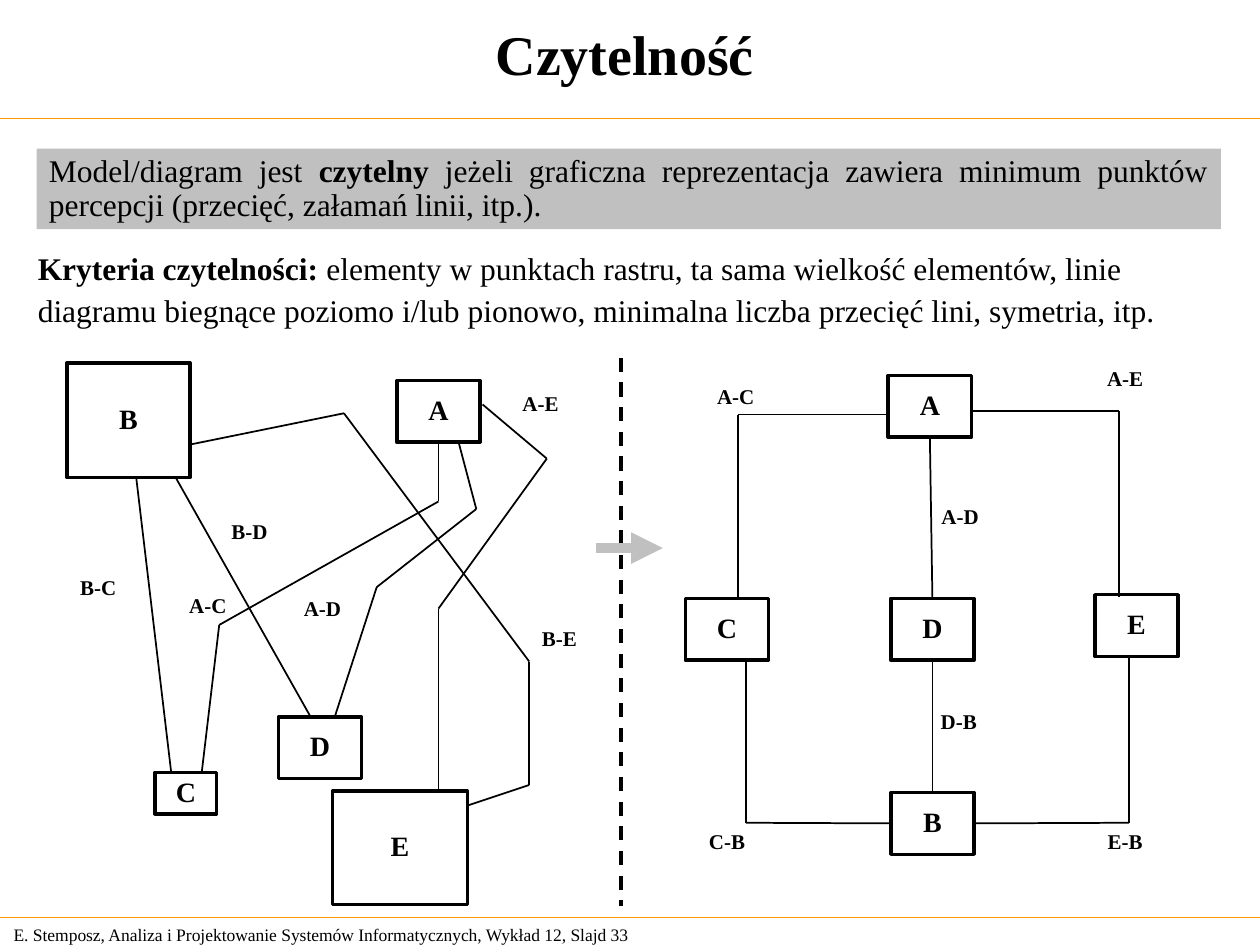
from dataclasses import dataclass
from itertools import pairwise
from typing import Optional

from lxml.etree import SubElement
from pptx import Presentation
from pptx.dml.color import RGBColor
from pptx.enum.dml import MSO_LINE
from pptx.enum.shapes import MSO_CONNECTOR, MSO_SHAPE
from pptx.enum.text import MSO_ANCHOR, MSO_AUTO_SIZE, PP_ALIGN
from pptx.oxml.ns import qn
from pptx.util import Inches, Pt

COLORS = {"ink": "000000", "rule": "FF9900", "grey": "C0C0C0", "paper": "FFFFFF"}
FONT = "Times New Roman"
TOP, LEFT, BOTTOM, RIGHT = range(4)


@dataclass
class Node:
    name: str
    left: float
    top: float
    width: float = 0.66
    height: float = 0.49


@dataclass
class Label:
    text: str
    left: float
    top: float


@dataclass
class Route:
    """A bent line; start and end name the node and side it is joined to."""
    points: list[tuple[float, float]]
    start: Optional[tuple[str, int]] = None
    end: Optional[tuple[str, int]] = None


UNREADABLE_NODES = [
    Node("B", 0.53, 2.88, 0.98, 0.91),
    Node("C", 1.23, 6.13, 0.49, 0.33),
    Node("E", 2.64, 6.28, 1.07, 0.9),
    Node("D", 2.21, 5.69),
    Node("A", 3.15, 3.02),
]
UNREADABLE_ROUTES = [
    Route([(1.08, 3.78), (1.36, 6.14)]),
    Route([(3.48, 3.51), (3.48, 3.98), (1.74, 4.96), (1.6, 6.14)], start=("A", BOTTOM)),
    Route([(1.4, 3.8), (2.46, 5.68)]),
    Route([(1.5, 3.53), (2.73, 3.28), (4.2, 5.25), (4.2, 6.23), (3.72, 6.39)]),
    Route([(3.83, 3.21), (4.34, 3.64), (3.48, 4.83), (3.48, 6.28)]),
    Route([(3.64, 3.51), (3.78, 4.04), (2.99, 4.66), (2.66, 5.68)]),
]
UNREADABLE_LABELS = [
    Label("B-D", 1.6, 3.97), Label("B-C", 0.4, 4.42), Label("B-E", 4.06, 4.82),
    Label("A-C", 1.27, 4.56), Label("A-E", 3.91, 2.96), Label("A-D", 2.18, 4.58),
]

READABLE_NODES = [
    Node("B", 7.07, 6.29), Node("C", 5.44, 4.75), Node("E", 8.69, 4.72),
    Node("D", 7.07, 4.75), Node("A", 7.05, 2.98),
]
READABLE_ROUTES = [
    Route([(7.38, 3.47), (7.4, 4.75)], start=("A", BOTTOM), end=("D", TOP)),
    Route([(7.4, 5.24), (7.4, 6.29)], start=("D", BOTTOM), end=("B", TOP)),
    Route([(7.05, 3.29), (5.86, 3.29), (5.86, 4.75)]),
    Route([(5.92, 5.24), (5.92, 6.53), (7.07, 6.53)], end=("B", LEFT)),
    Route([(7.71, 3.26), (8.88, 3.26), (8.88, 4.74)]),
    Route([(8.96, 5.22), (8.96, 6.53), (7.73, 6.53)], end=("B", RIGHT)),
]
READABLE_LABELS = [
    Label("D-B", 7.23, 5.48), Label("C-B", 5.39, 6.43), Label("E-B", 8.55, 6.43),
    Label("A-C", 5.46, 2.9), Label("A-E", 8.55, 2.76), Label("A-D", 7.24, 3.85),
]


def color(name: str) -> RGBColor:
    return RGBColor.from_string(COLORS[name])


def place(shape, left: float, top: float, width: float, height: float) -> None:
    shape.left, shape.top = Inches(left), Inches(top)
    shape.width, shape.height = Inches(width), Inches(height)


def add_span(para, text: str, size: float, bold: bool = False) -> None:
    span = para.add_run()
    span.text = text
    span.font.name, span.font.size, span.font.bold = FONT, Pt(size), bold
    span.font.color.rgb = color("ink")


def add_centred_text(shape, text: str, size: float) -> None:
    frame = shape.text_frame
    frame.word_wrap = False
    frame.vertical_anchor = MSO_ANCHOR.MIDDLE
    para = frame.paragraphs[0]
    para.alignment, para.line_spacing = PP_ALIGN.CENTER, 0.9
    add_span(para, text, size, bold=True)


def add_rectangle(page, left: float, top: float, width: float, height: float, fill: str):
    box = page.shapes.add_shape(
        MSO_SHAPE.RECTANGLE, Inches(left), Inches(top), Inches(width), Inches(height))
    box.shadow.inherit = False
    box.fill.solid()
    box.fill.fore_color.rgb = color(fill)
    return box


def add_line(page, start: tuple[float, float], end: tuple[float, float],
             stroke: str = "ink", width: float = 1):
    line = page.shapes.add_connector(
        MSO_CONNECTOR.STRAIGHT, *(Inches(value) for value in (*start, *end)))
    line.line.color.rgb = color(stroke)
    line.line.width = Pt(width)
    SubElement(line._element.spPr, qn("a:effectLst"))
    return line


def add_node(page, node: Node):
    box = add_rectangle(page, node.left, node.top, node.width, node.height, "paper")
    box.line.color.rgb = color("ink")
    box.line.width = Pt(2)
    add_centred_text(box, node.name, 16)
    return box


def add_diagram(page, nodes: list[Node], routes: list[Route], labels: list[Label]) -> None:
    boxes = {node.name: add_node(page, node) for node in nodes}
    for route in routes:
        lines = [add_line(page, start, end) for start, end in pairwise(route.points)]
        if route.start:
            name, side = route.start
            lines[0].begin_connect(boxes[name], side)
        if route.end:
            name, side = route.end
            lines[-1].end_connect(boxes[name], side)
    for label in labels:
        box = page.shapes.add_textbox(
            Inches(label.left), Inches(label.top), Inches(0.76), Inches(0.51))
        add_centred_text(box, label.text, 12)


def fill_title(title) -> None:
    place(title, 0, 0, 9.92, 0.85)
    title.text_frame.vertical_anchor = MSO_ANCHOR.MIDDLE
    para = title.text_frame.paragraphs[0]
    para.alignment = PP_ALIGN.CENTER
    add_span(para, "Czytelność", 32, bold=True)


def fill_criteria(body) -> None:
    place(body, 0.2, 1.96, 9.59, 0.81)
    frame = body.text_frame
    frame.auto_size = MSO_AUTO_SIZE.NONE
    first, second = frame.paragraphs[0], frame.add_paragraph()
    for para, space in ((first, 0), (second, 4.5)):
        properties = para._p.get_or_add_pPr()
        properties.set("marL", str(Inches(0.26)))
        properties.set("indent", str(-Inches(0.26)))
        SubElement(properties, qn("a:buNone"))
        para.alignment = PP_ALIGN.LEFT
        para.line_spacing, para.space_before = 0.9, Pt(space)
    add_span(first, "Kryteria czytelności:", 18, bold=True)
    add_span(first, " elementy w punktach rastru, ta sama wielkość elementów, linie", 18)
    add_span(second, "diagramu biegnące poziomo i/lub pionowo, minimalna liczba przecięć "
             "lini, symetria, itp.", 18)


def add_definition(page) -> None:
    box = add_rectangle(page, 0.29, 1.18, 9.4, 0.64, "grey")
    box.line.fill.background()
    box.text_frame.word_wrap = True
    box.text_frame.vertical_anchor = MSO_ANCHOR.TOP
    para = box.text_frame.paragraphs[0]
    para.alignment, para.line_spacing = PP_ALIGN.JUSTIFY, 0.9
    add_span(para, "Model/diagram jest ", 18)
    add_span(para, "czytelny", 18, bold=True)
    add_span(para, " jeżeli graficzna reprezentacja zawiera minimum punktów percepcji "
             "(przecięć, załamań linii, itp.).", 18)


def add_footer(page) -> None:
    box = page.shapes.add_textbox(Inches(0.01), Inches(7.28), Inches(5.24), Inches(0.27))
    box.text_frame.word_wrap = False
    box.text_frame.vertical_anchor = MSO_ANCHOR.MIDDLE
    add_span(box.text_frame.paragraphs[0], "E. Stemposz, Analiza i Projektowanie Systemów "
             "Informatycznych, Wykład 12, Slajd 33", 10)


def main() -> None:
    deck = Presentation()
    deck.slide_width, deck.slide_height = Inches(10), Inches(7.5)
    page = deck.slides.add_slide(deck.slide_layouts[1])
    add_footer(page)
    for height in (0.94, 7.28):
        add_line(page, (0, height), (10, height), "rule", 0.75)
    fill_title(page.shapes.title)
    fill_criteria(page.placeholders[1])
    add_definition(page)
    add_diagram(page, UNREADABLE_NODES, UNREADABLE_ROUTES, UNREADABLE_LABELS)
    add_diagram(page, READABLE_NODES, READABLE_ROUTES, READABLE_LABELS)
    divider = add_line(page, (4.93, 2.84), (4.93, 7.19), width=2)
    divider.line.dash_style = MSO_LINE.DASH
    arrow = add_line(page, (4.73, 4.35), (5.26, 4.35), "grey", 6)
    SubElement(arrow.line._get_or_add_ln(), qn("a:tailEnd"), type="triangle")
    deck.save("out.pptx")


if __name__ == "__main__":
    main()
